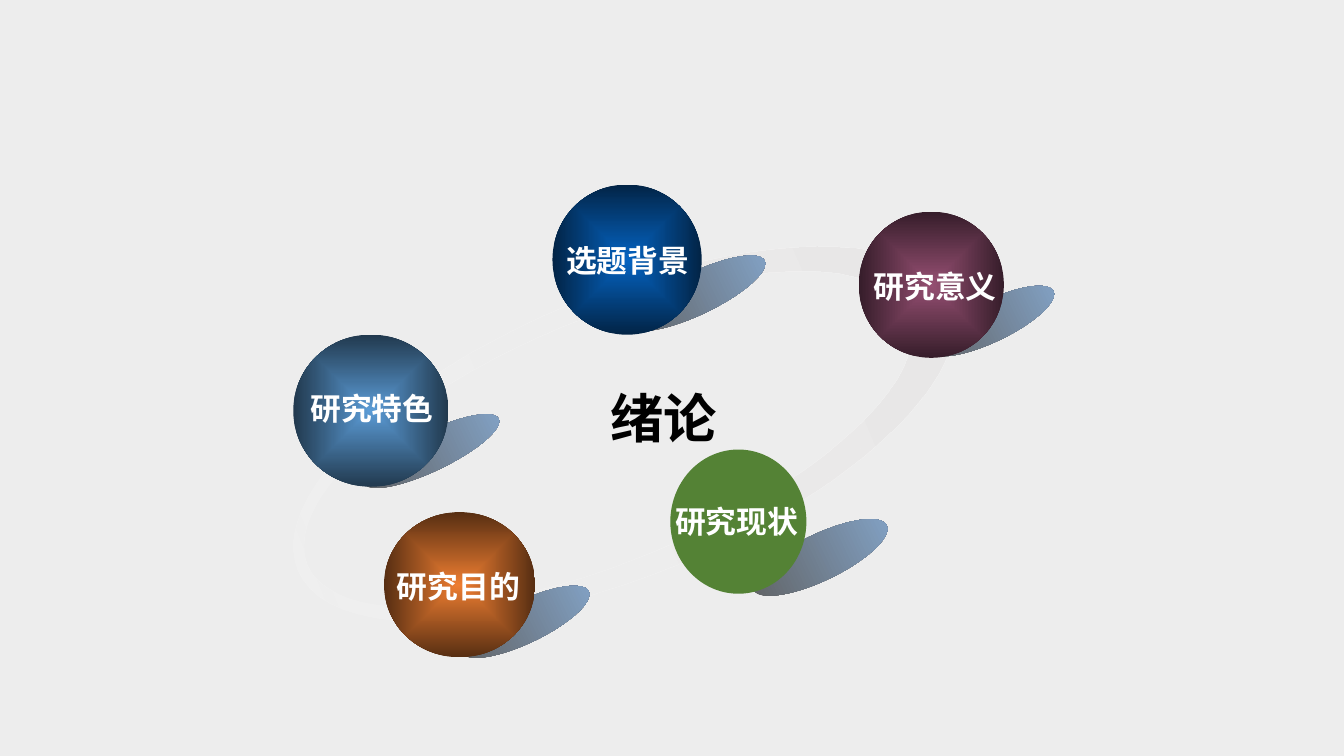
"""Builds the introduction slide: five topic spheres on a tilted orbit ring."""
import math

import pptx
import pptx.dml.color
import pptx.enum.dml
import pptx.enum.shapes
import pptx.enum.text
import pptx.oxml
import pptx.oxml.ns
import pptx.util

Pt = pptx.util.Pt
RGBColor = pptx.dml.color.RGBColor
OVAL = pptx.enum.shapes.MSO_SHAPE.OVAL

BACKGROUND = RGBColor(0xED, 0xED, 0xED)
WHITE = RGBColor(0xFF, 0xFF, 0xFF)
BLACK = RGBColor(0x00, 0x00, 0x00)
GREEN = RGBColor(0x54, 0x82, 0x35)
RING_COLORS = RGBColor(0xF5, 0xF5, 0xF5), RGBColor(0xE7, 0xE6, 0xE6)
SHADE_COLORS = RGBColor(0x5F, 0x5F, 0x5F), RGBColor(0x84, 0xA5, 0xCA)
NAVY = RGBColor(0x05, 0x63, 0xC1), RGBColor(0x02, 0x24, 0x46)
SKY = RGBColor(0x5B, 0x9B, 0xD5), RGBColor(0x21, 0x39, 0x4E)
ORANGE = RGBColor(0xED, 0x7D, 0x31), RGBColor(0x57, 0x2E, 0x12)
PLUM = RGBColor(0x95, 0x4F, 0x72), RGBColor(0x36, 0x1D, 0x2A)

TITLE = "绪论"
TITLE_BOX = (378.7, 271.4, 190.8, 53.3)
LABEL_SIZE = (103.7, 33.8)

TOPICS = [
    {"label": "选题背景", "colors": NAVY, "sphere": (394.6, 131.8, 106.6, 107.3),
     "shade": (444.2, 194.4, 107.3, 30.2), "label_at": (397.4, 169.2)},
    {"label": "研究特色", "colors": SKY, "sphere": (209.5, 239, 110.9, 108.7),
     "shade": (254.9, 308.2, 106.6, 28.1), "label_at": (214.6, 275)},
    {"label": "研究目的", "colors": ORANGE, "sphere": (274.3, 365.8, 108, 103.7),
     "shade": (324.7, 429.1, 100.8, 30.2), "label_at": (276.5, 401.8)},
    {"label": "研究现状", "colors": (GREEN,), "sphere": (478.8, 321.1, 97.2, 103),
     "shade": (532.8, 381.6, 105.8, 33.1), "label_at": (475.2, 355.7)},
    {"label": "研究意义", "colors": PLUM, "sphere": (613.4, 151.2, 103.7, 104.4),
     "shade": (658.8, 214.6, 98.6, 29.5), "label_at": (617, 187.9)},
]

RING_OUTER = {"center": (445.7, 310), "radii": (252, 100.4)}
RING_INNER = {"center": (433.7, 309), "radii": (232.3, 86.6)}
RING_STEPS = 80
RING_TILT = -22.6
SHADE_TILT = -25.7


def paint(shape, colors, radial=False, start_alpha=None):
    """Fills a shape with one colour or a two-stop gradient, without line or shadow."""
    shape.shadow.inherit = False
    shape.line.fill.background()
    if len(colors) == 1:
        shape.fill.solid()
        shape.fill.fore_color.rgb = colors[0]
        return
    shape.fill.gradient()
    shape.fill.gradient_angle = 0
    for stop, color in zip(shape.fill.gradient_stops, colors):
        stop.color.rgb = color
    gradient = shape._element.spPr.find(pptx.oxml.ns.qn("a:gradFill"))
    if start_alpha is not None:
        first = gradient.find(".//" + pptx.oxml.ns.qn("a:srgbClr"))
        first.append(pptx.oxml.parse_xml(
            f'<a:alpha {pptx.oxml.ns.nsdecls("a")} val="{start_alpha * 1000}"/>'))
    if radial:
        linear = gradient.find(pptx.oxml.ns.qn("a:lin"))
        gradient.replace(linear, pptx.oxml.parse_xml(
            f'<a:path {pptx.oxml.ns.nsdecls("a")} path="shape">'
            '<a:fillToRect l="50000" t="50000" r="50000" b="50000"/></a:path>'))


def ellipse_points(center, radii, direction):
    """Returns the points of an ellipse, in points of length."""
    angles = (direction * math.tau * step / RING_STEPS for step in range(RING_STEPS))
    return [(Pt(center[0] + radii[0] * math.cos(angle)),
             Pt(center[1] + radii[1] * math.sin(angle))) for angle in angles]


def add_ring(slide):
    """Draws the tilted orbit as an ellipse with an elliptic hole."""
    outer = ellipse_points(**RING_OUTER, direction=1)
    inner = ellipse_points(**RING_INNER, direction=-1)
    outline = slide.shapes.build_freeform(*outer[0])
    outline.add_line_segments(outer[1:], close=True)
    outline.move_to(*inner[0])
    outline.add_line_segments(inner[1:], close=True)
    ring = outline.convert_to_shape()
    ring.rotation = RING_TILT
    paint(ring, RING_COLORS, start_alpha=36)


def add_oval(slide, box, colors, tilt=0, radial=False):
    """Draws one filled oval."""
    oval = slide.shapes.add_shape(OVAL, *map(Pt, box))
    oval.rotation = tilt
    paint(oval, colors, radial=radial)


def add_text(slide, text, box, size, font, color, wrap=False, align=None):
    """Adds one line of bold text."""
    frame = slide.shapes.add_textbox(*map(Pt, box)).text_frame
    frame.word_wrap = wrap
    frame.auto_size = pptx.enum.text.MSO_AUTO_SIZE.SHAPE_TO_FIT_TEXT
    paragraph = frame.paragraphs[0]
    paragraph.alignment = align
    run = paragraph.add_run()
    run.text = text
    run.font.size = Pt(size)
    run.font.name = font
    run.font.bold = True
    run.font.color.rgb = color


def main():
    """Builds and saves the slide."""
    deck = pptx.Presentation()
    deck.slide_width, deck.slide_height = Pt(960), Pt(540)
    slide = deck.slides.add_slide(deck.slide_layouts[6])
    slide.background.fill.solid()
    slide.background.fill.fore_color.rgb = BACKGROUND

    add_ring(slide)
    for topic in TOPICS:
        add_oval(slide, topic["shade"], SHADE_COLORS, tilt=SHADE_TILT)
    for topic in TOPICS:
        add_oval(slide, topic["sphere"], topic["colors"], radial=True)
    for topic in TOPICS:
        add_text(slide, topic["label"], topic["label_at"] + LABEL_SIZE,
                 size=22, font="DejaVu Sans", color=WHITE)
    add_text(slide, TITLE, TITLE_BOX, size=38, font="Calibri", color=BLACK,
             wrap=True, align=pptx.enum.text.PP_ALIGN.CENTER)
    deck.save("out.pptx")


if __name__ == "__main__":
    main()
